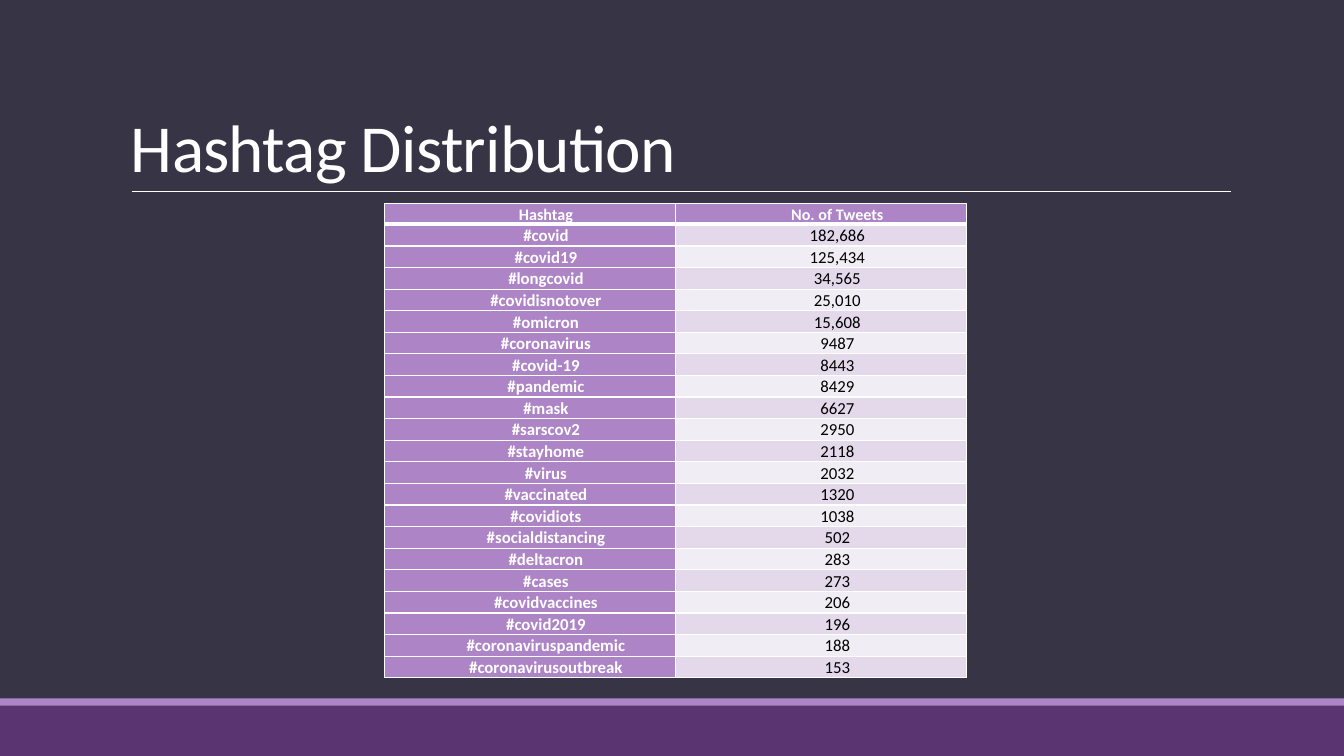
from lxml import etree
from pptx import Presentation
from pptx.dml.color import RGBColor
from pptx.enum import shapes, text
from pptx.oxml.ns import qn
from pptx.util import Inches, Pt

TITLE = "Hashtag Distribution"
ROWS = [
    ("Hashtag", "No. of Tweets"),
    ("#covid", "182,686"),
    ("#covid19", "125,434"),
    ("#longcovid", "34,565"),
    ("#covidisnotover", "25,010"),
    ("#omicron", "15,608"),
    ("#coronavirus", "9487"),
    ("#covid-19", "8443"),
    ("#pandemic", "8429"),
    ("#mask", "6627"),
    ("#sarscov2", "2950"),
    ("#stayhome", "2118"),
    ("#virus", "2032"),
    ("#vaccinated", "1320"),
    ("#covidiots", "1038"),
    ("#socialdistancing", "502"),
    ("#deltacron", "283"),
    ("#cases", "273"),
    ("#covidvaccines", "206"),
    ("#covid2019", "196"),
    ("#coronaviruspandemic", "188"),
    ("#coronavirusoutbreak", "153"),
]
COLORS = {
    "background": "373545",
    "footer": "5A3471",
    "accent": "AD84C6",
    "odd_row": "E3D9EA",
    "even_row": "F1EDF5",
    "white": "FFFFFF",
    "black": "000000",
}
FONT = "Calibri"
SLIDE_WIDTH, SLIDE_HEIGHT = 13.33, 7.5
TABLE_LEFT, TABLE_TOP, TABLE_WIDTH, TABLE_HEIGHT = 3.81, 2.02, 5.78, 4.47


def color(name):
    return RGBColor.from_string(COLORS[name])


def write(frame, words, size, ink="white", bold=False, align=text.PP_ALIGN.LEFT,
          line_spacing=1.0, after=0, margin=0, indent=0, tracking=None):
    para = frame.paragraphs[0]
    para.alignment = align
    para.line_spacing = line_spacing
    para.space_after = Pt(after)
    properties = para._p.get_or_add_pPr()
    properties.set("marL", str(Inches(margin)))
    properties.set("indent", str(Inches(indent)))
    span = para.add_run()
    span.text = words
    span.font.name = FONT
    span.font.size = Pt(size)
    span.font.bold = bold
    span.font.color.rgb = color(ink)
    if tracking is not None:
        span._r.get_or_add_rPr().set("spc", str(int(tracking * 100)))


def add_band(page, top, height, fill):
    band = page.shapes.add_shape(shapes.MSO_SHAPE.RECTANGLE, 0, Inches(top),
                                 Inches(SLIDE_WIDTH), Inches(height))
    band.shadow.inherit = False
    band.fill.solid()
    band.fill.fore_color.rgb = color(fill)
    band.line.fill.background()


def set_borders(cell, **widths):
    properties = cell._tc.get_or_add_tcPr()
    for side in "LRTB":
        line = etree.SubElement(properties, qn(f"a:ln{side}"),
                                w=str(Pt(widths.get(side, 1))))
        fill = etree.SubElement(line, qn("a:solidFill"))
        etree.SubElement(fill, qn("a:srgbClr"), val=COLORS["white"])


def add_hashtag_table(page):
    table = page.shapes.add_table(
        len(ROWS), 2, Inches(TABLE_LEFT), Inches(TABLE_TOP),
        Inches(TABLE_WIDTH), Inches(TABLE_HEIGHT)).table
    table.horz_banding = False
    for row, values in enumerate(ROWS):
        header = row == 0
        for column, words in enumerate(values):
            cell = table.cell(row, column)
            strong = header or column == 0
            set_borders(cell, T=3 if row == 1 else 1, B=3 if header else 1)
            cell.fill.solid()
            band = "odd_row" if row % 2 else "even_row"
            cell.fill.fore_color.rgb = color("accent" if strong else band)
            cell.margin_left = cell.margin_right = Inches(0.07)
            cell.margin_top = cell.margin_bottom = 0
            cell.vertical_anchor = (text.MSO_ANCHOR.TOP if header
                                    else text.MSO_ANCHOR.BOTTOM)
            write(cell.text_frame, words, 11.5 if header else 12,
                  ink="white" if strong else "black", bold=strong,
                  align=text.PP_ALIGN.CENTER, line_spacing=1.07, after=0.1,
                  margin=0.33, indent=-0.01)


def main():
    deck = Presentation()
    deck.slide_width, deck.slide_height = Inches(SLIDE_WIDTH), Inches(SLIDE_HEIGHT)
    page = deck.slides.add_slide(deck.slide_layouts[6])
    page.background.fill.solid()
    page.background.fill.fore_color.rgb = color("background")

    # Footer bands
    add_band(page, 7, 0.5, "footer")
    add_band(page, 6.93, 0.07, "accent")

    # Title and its rule
    rule = page.shapes.add_connector(shapes.MSO_CONNECTOR.STRAIGHT, Inches(1.31),
                                     Inches(1.9), Inches(12.21), Inches(1.9))
    rule.line.color.rgb = color("white")
    rule.line.width = Pt(0.5)
    etree.SubElement(rule._element.spPr, qn("a:effectLst"))
    box = page.shapes.add_textbox(Inches(1.2), Inches(0.31), Inches(11), Inches(1.59))
    box.text_frame.word_wrap = True
    box.text_frame.vertical_anchor = text.MSO_ANCHOR.BOTTOM
    write(box.text_frame, TITLE, 48, line_spacing=0.85, tracking=-0.5)

    # Hashtag counts
    add_hashtag_table(page)
    deck.save("out.pptx")


if __name__ == "__main__":
    main()
